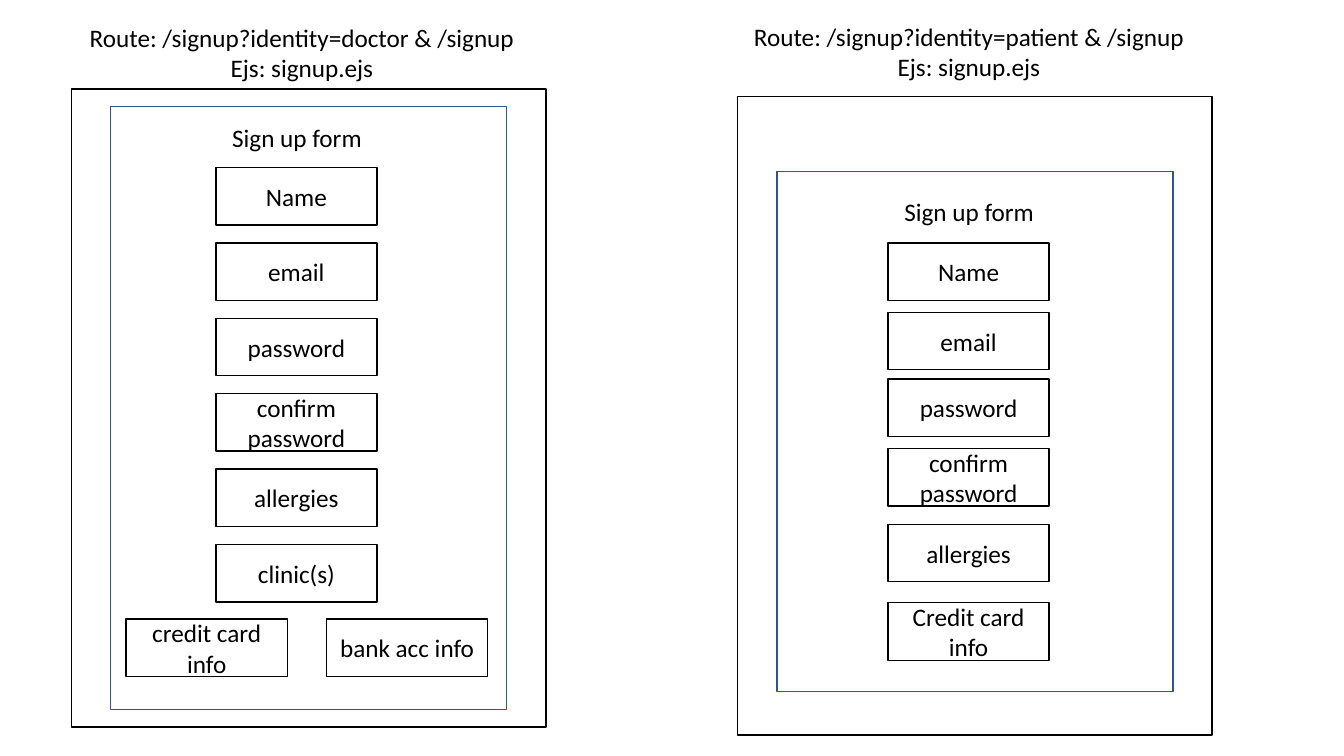
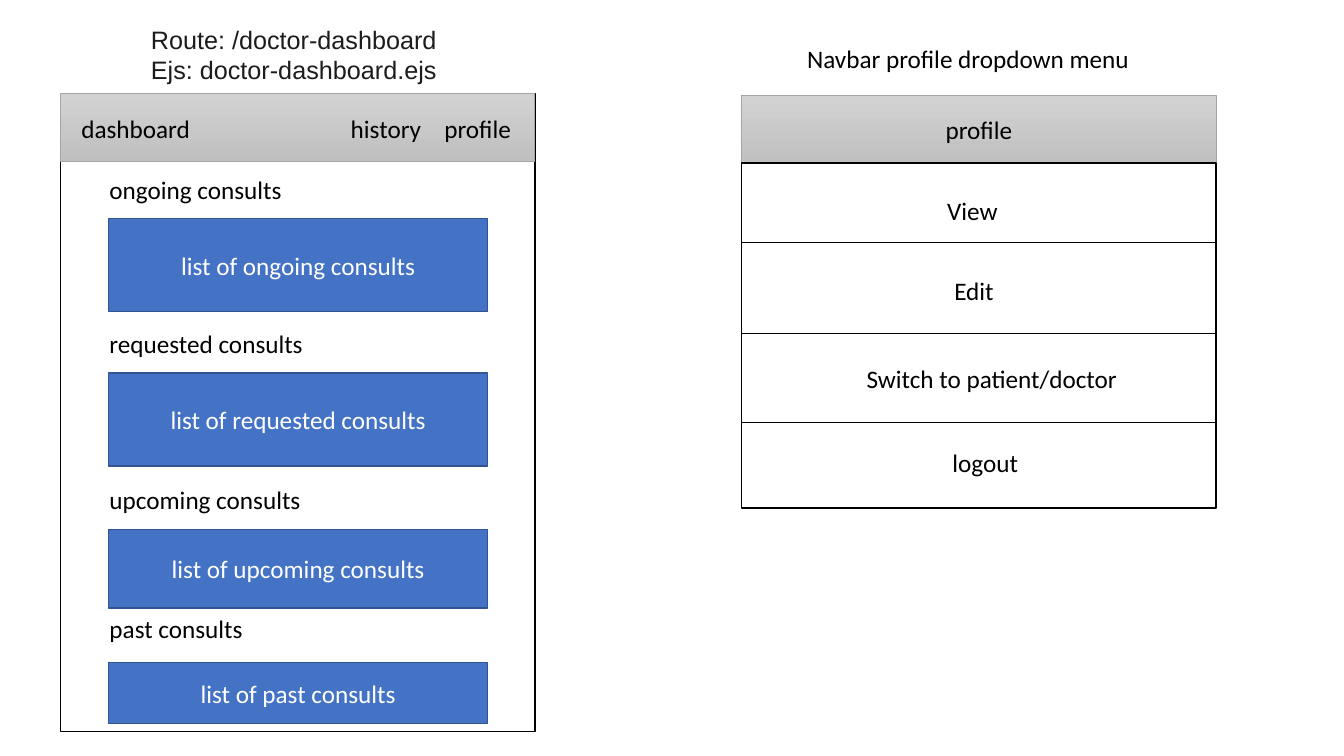
from dataclasses import dataclass

from lxml.etree import SubElement
from pptx import Presentation
from pptx.dml.color import RGBColor
from pptx.enum.shapes import MSO_CONNECTOR, MSO_SHAPE
from pptx.enum.text import MSO_ANCHOR, PP_ALIGN
from pptx.oxml.ns import qn
from pptx.util import Cm, Pt


@dataclass(frozen=True)
class Theme:
    black: str = "000000"
    white: str = "FFFFFF"
    blue: str = "4472C4"
    navy: str = "325491"
    ink: str = "1D1C1D"
    bar_top: str = "D2D2D2"
    bar_bottom: str = "C0C0C0"
    bar_line: str = "A5A5A5"
    font: str = "Calibri"
    route_font: str = "Arial"
    size: int = 18
    line: float = 1
    thin: float = 0.5


THEME = Theme()
SCREEN_W, SCREEN_H = 11.96, 16.08
FORM_W = 9.98
FIELD_W, FIELD_H = 4.06, 1.45
BAR_H = 1.7
TEXT_H = 1.02


def rgb(color):
    return RGBColor.from_string(color)


class Wireframe:
    """Draws on the current slide; all lengths are centimetres."""

    def __init__(self, prs, theme):
        self.prs, self.theme, self.s = prs, theme, None

    def new_slide(self):
        self.s = self.prs.slides.add_slide(self.prs.slide_layouts[6])

    def set_text(self, tf, lines, align, color=None, font=None):
        tf.word_wrap = True
        for i, line in enumerate(lines):
            p = tf.add_paragraph() if i else tf.paragraphs[0]
            p.text, p.alignment = line, align
            p.font.name = font or self.theme.font
            p.font.size = Pt(self.theme.size)
            p.font.color.rgb = rgb(color or self.theme.black)

    def label(self, x, y, w, *lines, align=PP_ALIGN.LEFT, **style):
        height = Cm(TEXT_H if len(lines) == 1 else 1.8)
        sp = self.s.shapes.add_textbox(Cm(x), Cm(y), Cm(w), height)
        self.set_text(sp.text_frame, lines, align, **style)

    def box(self, x, y, w, h, text="", fill=None, line=None, color=None):
        sp = self.s.shapes.add_shape(MSO_SHAPE.RECTANGLE, Cm(x), Cm(y), Cm(w), Cm(h))
        sp.shadow.inherit = False
        if fill:
            sp.fill.solid()
            sp.fill.fore_color.rgb = rgb(fill)
        else:
            sp.fill.background()
        sp.line.color.rgb = rgb(line or self.theme.black)
        sp.line.width = Pt(self.theme.line)
        if text:
            sp.text_frame.vertical_anchor = MSO_ANCHOR.MIDDLE
            self.set_text(sp.text_frame, [text], PP_ALIGN.CENTER, color)
        return sp

    def field(self, x, y, text):
        self.box(x, y, FIELD_W, FIELD_H, text, self.theme.white)

    def navbar(self, x, y, text=""):
        sp = self.box(x, y, SCREEN_W, BAR_H, text, line=self.theme.bar_line)
        sp.line.width = Pt(self.theme.thin)
        sp.fill.gradient()
        sp.fill.gradient_angle = 270
        colors = (self.theme.bar_top, self.theme.bar_bottom)
        for stop, color in zip(sp.fill.gradient_stops, colors):
            stop.color.rgb = rgb(color)

    def divider(self, x, y, w):
        c = self.s.shapes.add_connector(MSO_CONNECTOR.STRAIGHT, Cm(x), Cm(y), Cm(x + w), Cm(y))
        c.line.color.rgb = rgb(self.theme.black)
        c.line.width = Pt(self.theme.thin)
        SubElement(c._element.spPr, qn("a:effectLst"))

    def signup_screen(self, x, y, identity, title_at, form_y, form_h, heading_at):
        """Screen frame with its route, form outline and form heading."""
        self.label(*title_at, SCREEN_W, f"Route: /signup?identity={identity} & /signup",
                   "Ejs: signup.ejs", align=PP_ALIGN.CENTER)
        self.box(x, y, SCREEN_W, SCREEN_H)
        self.box(x + 0.99, form_y, FORM_W, form_h, line=self.theme.navy)
        self.label(*heading_at, 5.77, "Sign up form", align=PP_ALIGN.CENTER)


def signup_slide(w):
    w.new_slide()
    w.signup_screen(1.8, 2.24, "doctor", (1.63, 0.43), 2.69, 15.19, (4.6, 2.97))
    common = ["Name", "email", "password", "confirm password", "allergies"]
    for i, text in enumerate(common + ["clinic(s)"]):
        w.field(5.44, 4.22 + 1.9 * i, text)
    for x, text in ((3.18, "credit card info"), (8.23, "bank acc info")):
        w.field(x, 15.6, text)

    w.signup_screen(18.59, 2.44, "patient", (18.44, 0.41), 4.32, 13.11, (21.54, 4.83))
    tops = (6.12, 7.87, 9.55, 11.3, 13.21, 15.19)
    for y, text in zip(tops, common + ["Credit card info"]):
        w.field(22.38, y, text)


def dashboard_slide(w):
    t = w.theme
    w.new_slide()
    x, y = 1.52, 2.36
    w.label(3.43, 0.48, 7.95, "Route: /doctor-dashboard", "Ejs: doctor-dashboard.ejs",
            align=PP_ALIGN.CENTER, color=t.ink, font=t.route_font)
    w.box(x, y, SCREEN_W, SCREEN_H)
    w.navbar(x, y)
    for left, width, text in ((1.8, 3.48, "dashboard"), (8.59, 2.4, "history"),
                              (10.95, 2.5, "profile")):
        w.label(left, 2.72, width, text)
    sections = (("ongoing", 4.27, 5.51, 2.34), ("requested", 8.15, 9.4, 2.34),
                ("upcoming", 12.09, 13.34, 1.98), ("past", 15.32, 16.69, 1.55))
    for kind, label_y, list_y, list_h in sections:
        w.label(2.51, label_y, 9.8, f"{kind} consults")
        w.box(2.74, list_y, 9.55, list_h, f"list of {kind} consults", t.blue, t.navy, t.white)

    menu_x = 18.69
    w.label(20.09, 0.97, 9.17, "Navbar profile dropdown menu")
    w.navbar(menu_x, 2.41, "profile")
    w.box(menu_x, 4.11, SCREEN_W, 8.69)
    for left, top, width, text in ((23.62, 4.8, 2.11, "View"), (23.8, 6.81, 2.11, "Edit"),
                                   (21.59, 9.02, 7.49, "Switch to patient/doctor"),
                                   (23.75, 11.15, 2.59, "logout")):
        w.label(left, top, width, text)
    for line_y in (6.1, 8.41, 10.64):
        w.divider(menu_x, line_y, SCREEN_W)


def main():
    prs = Presentation()
    prs.slide_width, prs.slide_height = Cm(33.87), Cm(19.05)
    w = Wireframe(prs, THEME)
    signup_slide(w)
    dashboard_slide(w)
    prs.save("out.pptx")


if __name__ == "__main__":
    main()
